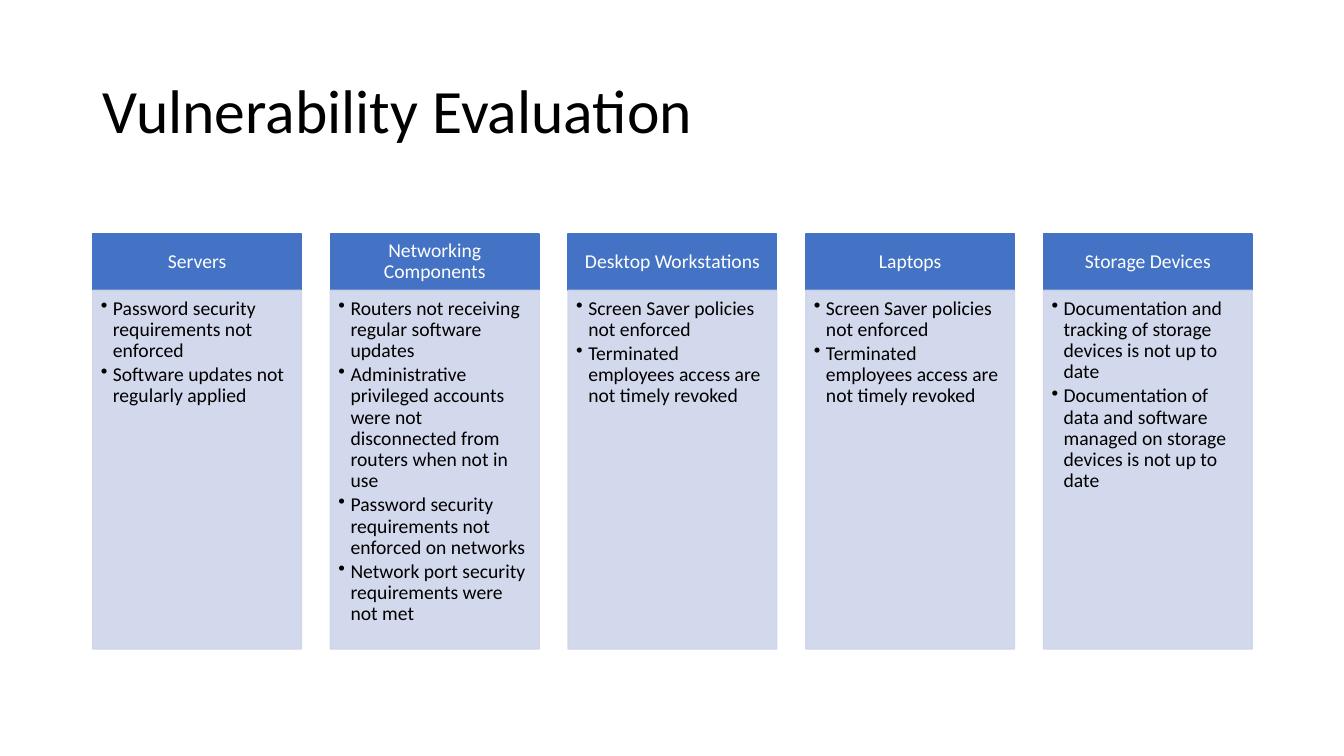
from lxml import etree
from pptx import Presentation
from pptx.dml.color import RGBColor
from pptx.enum.shapes import MSO_SHAPE
from pptx.enum.text import MSO_ANCHOR, PP_ALIGN
from pptx.oxml.ns import qn
from pptx.util import Inches, Pt

RECTANGLE = MSO_SHAPE.RECTANGLE
MIDDLE, TOP = MSO_ANCHOR.MIDDLE, MSO_ANCHOR.TOP
LEFT, CENTER = PP_ALIGN.LEFT, PP_ALIGN.CENTER

TITLE = "Vulnerability Evaluation"
WORKSTATION_ISSUES = [
    "Screen Saver policies not enforced",
    "Terminated employees access are not timely revoked",
]
COLUMNS = [
    ("Servers", [
        "Password security requirements not enforced",
        "Software updates not regularly applied",
    ]),
    ("Networking Components", [
        "Routers not receiving regular software updates",
        "Administrative privileged accounts were not disconnected from routers when not in use",
        "Password security requirements not enforced on networks",
        "Network port security requirements were not met",
    ]),
    ("Desktop Workstations", WORKSTATION_ISSUES),
    ("Laptops", WORKSTATION_ISSUES),
    ("Storage Devices", [
        "Documentation and tracking of storage devices is not up to date",
        "Documentation of data and software managed on storage devices is not up to date",
    ]),
]
COLORS = {"header": "4472C4", "body": "CFD5EA", "light": "FFFFFF", "dark": "000000"}
FONT = "Calibri"

MARGIN, CONTENT_WIDTH = 0.92, 11.5
COLUMN_WIDTH = 2.07
COLUMN_PITCH = (CONTENT_WIDTH - COLUMN_WIDTH) / (len(COLUMNS) - 1)
HEADER_TOP, HEADER_HEIGHT, BODY_HEIGHT = 2.32, 0.56, 3.56
BULLET_INDENT = 0.12


def write_text(shape, lines, size, color, anchor, insets,
               alignment=LEFT, space_after=0, bulleted=False):
    frame = shape.text_frame
    frame.word_wrap = True
    frame.vertical_anchor = anchor
    (frame.margin_left, frame.margin_top,
     frame.margin_right, frame.margin_bottom) = map(Inches, insets)
    frame.text = "\n".join(lines)
    for paragraph in frame.paragraphs:
        paragraph.alignment = alignment
        paragraph.line_spacing = 0.9
        paragraph.space_after = Pt(space_after)
        if bulleted:
            paragraph.level = 1
            add_bullet(paragraph)
        paragraph.font.name = FONT
        paragraph.font.size = Pt(size)
        paragraph.font.color.rgb = RGBColor.from_string(COLORS[color])


def add_bullet(paragraph):
    properties = paragraph._p.get_or_add_pPr()
    properties.set("marL", str(Inches(BULLET_INDENT)))
    properties.set("indent", str(-Inches(BULLET_INDENT)))
    etree.SubElement(properties, qn("a:buChar")).set("char", "•")


def add_box(slide, left, top, height, color, opacity=100):
    shape = slide.shapes.add_shape(
        RECTANGLE, Inches(left), Inches(top), Inches(COLUMN_WIDTH), Inches(height))
    shape.shadow.inherit = False
    shape.line.width = Pt(1)
    for fill in (shape.fill, shape.line.fill):
        fill.solid()
        fill.fore_color.rgb = RGBColor.from_string(COLORS[color])
    if opacity < 100:
        for rgb in shape._element.spPr.iter(qn("a:srgbClr")):
            etree.SubElement(rgb, qn("a:alpha")).set("val", str(opacity * 1000))
    return shape


def main():
    presentation = Presentation()
    presentation.slide_width = Inches(13.33)
    presentation.slide_height = Inches(7.5)
    slide = presentation.slides.add_slide(presentation.slide_layouts[6])

    title = slide.shapes.add_textbox(
        Inches(MARGIN), Inches(0.4), Inches(CONTENT_WIDTH), Inches(1.45))
    write_text(title, [TITLE], 44, "dark", MIDDLE, (0.1, 0.05, 0.1, 0.05))

    for index, (heading, issues) in enumerate(COLUMNS):
        left = MARGIN + index * COLUMN_PITCH
        header = add_box(slide, left, HEADER_TOP, HEADER_HEIGHT, "header")
        write_text(header, [heading], 14, "light", MIDDLE,
                   (0.11, 0.06, 0.11, 0.06), alignment=CENTER)
        body = add_box(slide, left, HEADER_TOP + HEADER_HEIGHT, BODY_HEIGHT,
                       "body", opacity=90)
        write_text(body, issues, 14, "dark", TOP, (0.08, 0.08, 0.11, 0.12),
                   space_after=2.1, bulleted=True)

    presentation.save("out.pptx")


if __name__ == "__main__":
    main()
